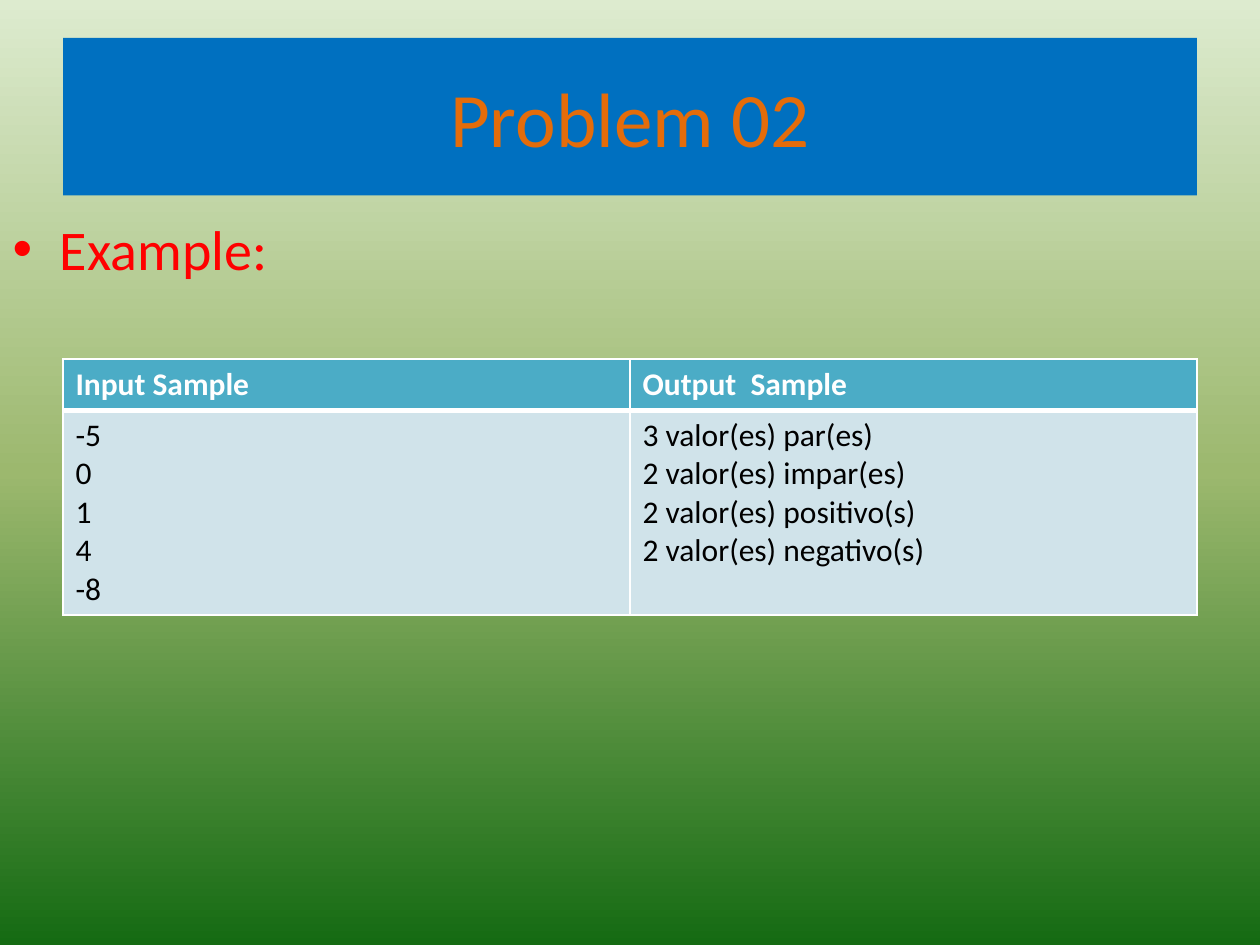
"""Build the Problem 02 example slide."""
from copy import deepcopy

from lxml import etree
from pptx import Presentation, util as u
from pptx.dml.color import RGBColor
from pptx.enum import text
from pptx.oxml import ns


def colour(value):
    return RGBColor.from_string(value)


class SlideBuilder:
    font = "Calibri"
    header_fill, body_fill, border = "4BACC6", "D0E3EA", "FFFFFF"

    def __init__(self, presentation):
        self.width, self.height = presentation.slide_width, presentation.slide_height
        self.slide = presentation.slides.add_slide(presentation.slide_layouts[1])

    def box(self, left, top, width, height):
        return (int(left * self.width), int(top * self.height),
                int(width * self.width), int(height * self.height))

    def style(self, frame, size, shade, bold=False):
        for paragraph in frame.paragraphs:
            for run in paragraph.runs:
                run.font.name, run.font.size, run.font.bold = self.font, u.Pt(size), bold
                run.font.color.rgb = colour(shade)

    def background(self, shades):
        fill = self.slide.background.fill
        fill.gradient()
        fill.gradient_angle = 270
        stops = next(self.slide.element.iter(ns.qn("a:gsLst")))
        while len(stops) < len(shades):
            stops.append(deepcopy(stops[0]))
        for index, (stop, shade) in enumerate(zip(fill.gradient_stops, shades)):
            stop.position = index / (len(shades) - 1)
            stop.color.rgb = colour(shade)

    def placeholder(self, index, content, area, size, shade):
        shape = self.slide.placeholders[index]
        shape.left, shape.top, shape.width, shape.height = self.box(*area)
        shape.text_frame.text = content
        self.style(shape.text_frame, size, shade)
        return shape

    def title(self, content, area, fill, shade):
        shape = self.placeholder(0, content, area, 44, shade)
        shape.fill.solid()
        shape.fill.fore_color.rgb = colour(fill)
        shape.text_frame.vertical_anchor = text.MSO_ANCHOR.MIDDLE
        shape.text_frame.paragraphs[0].alignment = text.PP_ALIGN.CENTER

    def cell_borders(self, cell, widths):
        properties = cell._tc.get_or_add_tcPr()
        for position, (side, points) in enumerate(widths.items()):
            line = etree.Element(ns.qn(f"a:ln{side}"), w=str(u.Pt(points)))
            solid = etree.SubElement(line, ns.qn("a:solidFill"))
            etree.SubElement(solid, ns.qn("a:srgbClr"), val=self.border)
            properties.insert(position, line)

    def table(self, rows, area, header_share):
        left, top, width, height = self.box(*area)
        table = self.slide.shapes.add_table(
            len(rows), len(rows[0]), left, top, width, height).table
        table.rows[0].height = int(height * header_share)
        table.rows[1].height = height - table.rows[0].height
        for row_index, row in enumerate(rows):
            header = row_index == 0
            for column_index, content in enumerate(row):
                cell = table.cell(row_index, column_index)
                cell.text_frame.text = content
                self.style(cell.text_frame, 18, "FFFFFF" if header else "000000", header)
                cell.fill.solid()
                cell.fill.fore_color.rgb = colour(self.header_fill if header else self.body_fill)
                self.cell_borders(cell, {"L": 1, "R": 1, "T": 1 if header else 3,
                                         "B": 3 if header else 1})


def main():
    presentation = Presentation()
    presentation.slide_width, presentation.slide_height = u.Inches(10), u.Inches(7.5)
    builder = SlideBuilder(presentation)
    builder.background(["DDEBCF", "9CB86E", "156B13"])
    builder.title("Problem 02", (0.05, 0.04, 0.9, 1 / 6), "0070C0", "E46C0A")
    builder.placeholder(1, "Example:", (0, 0.22, 0.44, 0.09), 32, "FF0000")
    builder.table([
        ["Input Sample", "Output  Sample"],
        ["\n".join(["-5", "0", "1", "4", "-8"]),
         "\n".join(["3 valor(es) par(es)", "2 valor(es) impar(es)",
                    "2 valor(es) positivo(s)", "2 valor(es) negativo(s)"])],
    ], (0.05, 0.38, 0.9, 0.27), 0.2)
    presentation.save("out.pptx")


if __name__ == "__main__":
    main()
